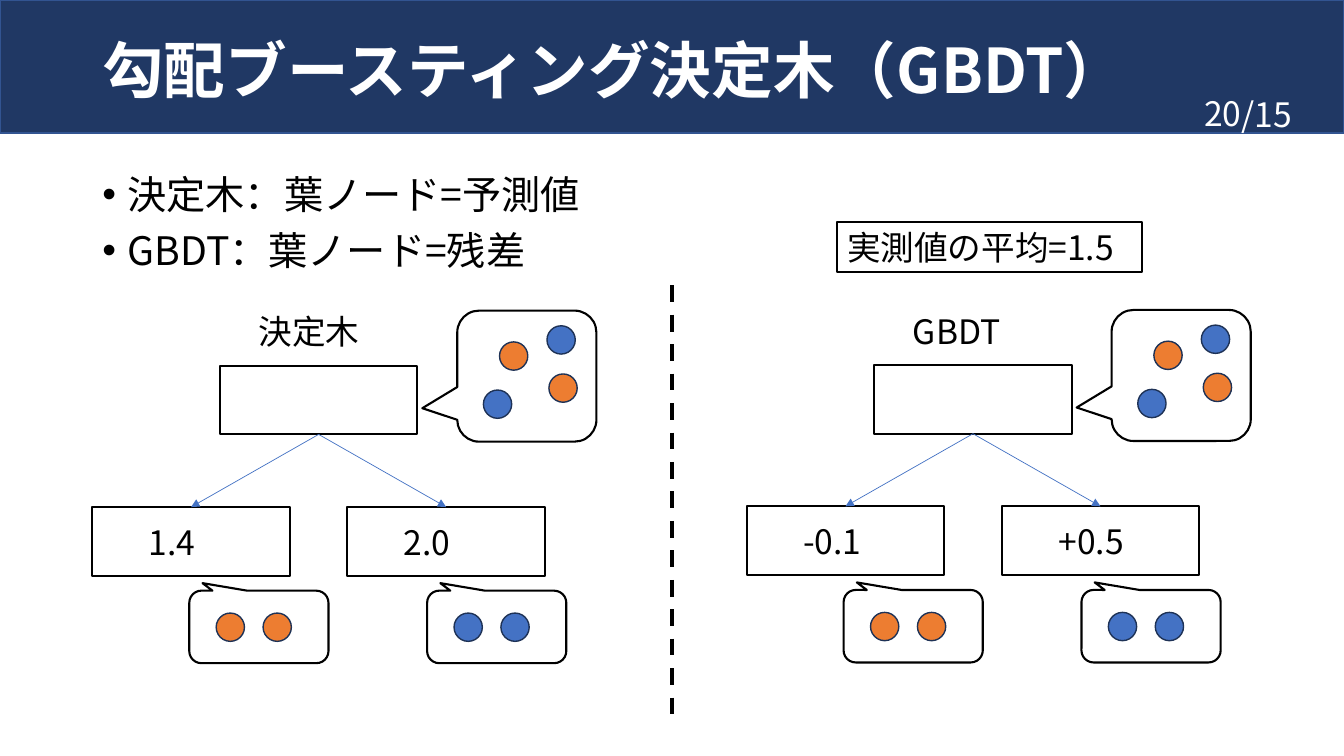
from lxml import etree
from pptx import Presentation
from pptx.dml.color import RGBColor
from pptx.enum import dml, shapes, text
from pptx.oxml.ns import qn
from pptx.util import Pt

FONT = "Noto Sans CJK JP"
BLACK, WHITE, NAVY = "000000", "FFFFFF", "203864"
BLUE, ORANGE, DOT_EDGE = "4472C4", "ED7D31", "1E3256"
NODE_W, NODE_H = 141, 49
CALLOUT_W, DOT = 99.4, 20.2


def color(value):
    return RGBColor.from_string(value)


def style_paragraph(paragraph, size, hue, bold=False):
    font = paragraph.font
    font.size, font.bold, font.name = Pt(size), bold, FONT
    font.color.rgb = color(hue)
    defaults = paragraph._p.pPr.find(qn("a:defRPr"))
    etree.SubElement(defaults, qn("a:ea")).set("typeface", FONT)


def add_label(slide, box, words, size=24, hue=BLACK, bold=False, wrap=False,
              anchor=text.MSO_ANCHOR.TOP, align=text.PP_ALIGN.LEFT):
    label = slide.shapes.add_textbox(*map(Pt, box))
    frame = label.text_frame
    frame.word_wrap, frame.vertical_anchor = wrap, anchor
    paragraph = frame.paragraphs[0]
    paragraph.text, paragraph.alignment = words, align
    style_paragraph(paragraph, size, hue, bold)
    return label


def add_outline(slide, kind, box, fill=None, line=BLACK, width=1.5):
    shape = slide.shapes.add_shape(kind, *map(Pt, box))
    shape.shadow.inherit = False
    if fill:
        shape.fill.solid()
        shape.fill.fore_color.rgb = color(fill)
    else:
        shape.fill.background()
    shape.line.color.rgb = color(line)
    shape.line.width = Pt(width)
    return shape


def add_line(slide, start, end, hue, width):
    line = slide.shapes.add_connector(
        shapes.MSO_CONNECTOR.STRAIGHT, *map(Pt, start + end))
    line.line.color.rgb = color(hue)
    line.line.width = Pt(width)
    etree.SubElement(line._element.spPr, qn("a:effectLst"))
    return line


def add_node(slide, left, top):
    return add_outline(slide, shapes.MSO_SHAPE.RECTANGLE, (left, top, NODE_W, NODE_H))


def add_branch(slide, root, leaf):
    branch = add_line(slide, (0, 0), (0, 0), BLUE, 0.5)
    branch.begin_connect(root, 2)
    branch.end_connect(leaf, 0)
    etree.SubElement(branch.line._get_or_add_ln(), qn("a:tailEnd")).set("type", "triangle")


def add_sample_callout(slide, left, top, height, tip, dots):
    callout = add_outline(slide, shapes.MSO_SHAPE.ROUNDED_RECTANGULAR_CALLOUT,
                          (left, top, CALLOUT_W, height))
    callout.adjustments[0], callout.adjustments[1] = tip
    for dx, dy, hue in dots:
        add_outline(slide, shapes.MSO_SHAPE.OVAL,
                    (left + dx, top + dy, DOT, DOT), hue, DOT_EDGE, 1)


def add_header(slide, width, height):
    add_outline(slide, shapes.MSO_SHAPE.RECTANGLE, (0, 0, width, height), NAVY, "325491", 1)
    add_label(slide, (880, 63.4, 55.4, 36), "/15", hue=WHITE)
    title = add_label(slide, (66, 10.8, 828, 84.2), "勾配ブースティング決定木（GBDT）", 44, WHITE,
                      bold=True, wrap=True, anchor=text.MSO_ANCHOR.MIDDLE)
    title.text_frame.paragraphs[0].line_spacing = 0.9
    add_label(slide, (678, 66.2, 216, 28.8), "20", hue=WHITE, wrap=True,
              anchor=text.MSO_ANCHOR.MIDDLE, align=text.PP_ALIGN.RIGHT)


def add_points(slide, box, points):
    frame = slide.shapes.add_textbox(*map(Pt, box)).text_frame
    frame.word_wrap = True
    for index, point in enumerate(points):
        paragraph = frame.add_paragraph() if index else frame.paragraphs[0]
        paragraph.text = point
        paragraph.line_spacing = 0.9
        paragraph.space_before = Pt(10 if index else 0)
        props = paragraph._p.get_or_add_pPr()
        props.set("marL", str(Pt(18)))
        props.set("indent", str(Pt(-18)))
        etree.SubElement(props, qn("a:buFont")).set("typeface", "Arial")
        etree.SubElement(props, qn("a:buChar")).set("char", "•")
        style_paragraph(paragraph, 28, BLACK)


def add_tree(slide, left, top, name, name_width, leaves):
    # Root node and heading
    root = add_node(slide, left + 91.1, top + 42.4)
    add_label(slide, (left + 111.6, top, name_width, 36), name)
    add_sample_callout(slide, left + 260.6, top + 3, 93.6, (-0.751, 0.245), [
        (64.1, 10.8, BLUE), (18.7, 56.7, BLUE), (65.5, 45.2, ORANGE), (30.2, 22.3, ORANGE)])

    # Leaves with their values and samples
    for index, (value, value_width, hue) in enumerate(leaves):
        leaf_left = left + 182.2 * index
        leaf = add_node(slide, leaf_left, top + 143.3)
        add_branch(slide, root, leaf)
        add_label(slide, (leaf_left + 33.3, top + 150.5, value_width, 36), value)
        add_sample_callout(slide, left + 69.2 + 169.9 * index, top + 203, 51.8,
                           (-0.405, -0.604), [(19.2, 16, hue), (52.7, 16, hue)])


def add_mean_box(slide, box):
    mean = add_outline(slide, shapes.MSO_SHAPE.RECTANGLE, box)
    frame = mean.text_frame
    frame.word_wrap, frame.vertical_anchor = False, text.MSO_ANCHOR.TOP
    paragraph = frame.paragraphs[0]
    paragraph.text, paragraph.alignment = "実測値の平均=1.5", text.PP_ALIGN.LEFT
    style_paragraph(paragraph, 24, BLACK)


def main():
    prs = Presentation()
    prs.slide_width, prs.slide_height = Pt(960), Pt(540)
    slide = prs.slides.add_slide(prs.slide_layouts[6])

    add_header(slide, 960, 95)
    add_points(slide, (66, 121.7, 828, 390), ["決定木：葉ノード=予測値", "GBDT：葉ノード=残差"])

    # The two trees side by side
    add_tree(slide, 66, 218.9, "決定木", 87, [("1.4", 53.3, ORANGE), ("2.0", 53.3, BLUE)])
    add_tree(slide, 533.4, 218.4, "GBDT", 81.4, [("-0.1", 63.4, ORANGE), ("+0.5", 72.7, BLUE)])
    add_mean_box(slide, (598, 158.6, 218, 36))

    # Divider
    divider = add_line(slide, (480, 203.8), (480, 512), BLACK, 3)
    divider.line.dash_style = dml.MSO_LINE.DASH

    prs.save("out.pptx")


if __name__ == "__main__":
    main()
